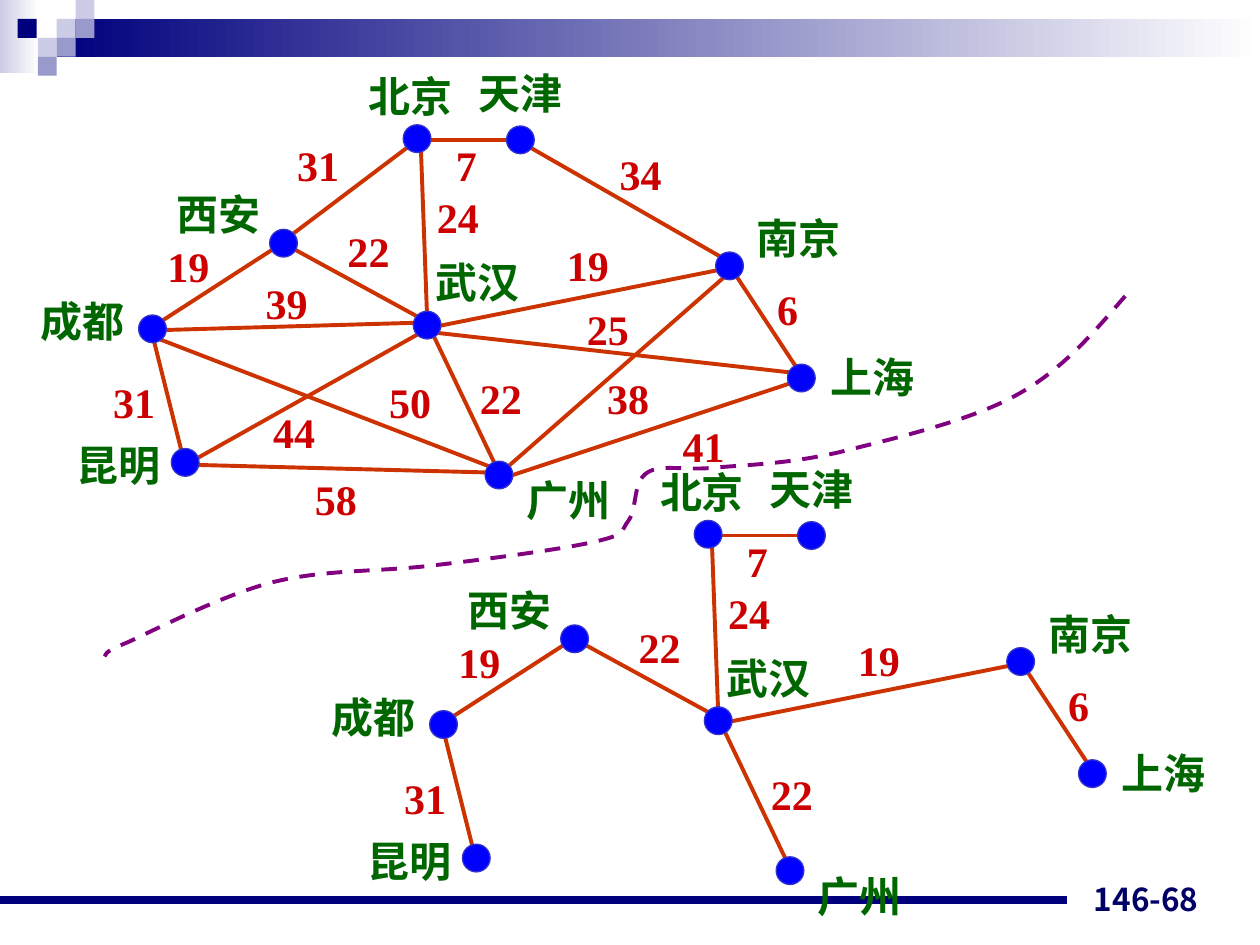
from pptx import Presentation
from pptx.dml.color import RGBColor
from pptx.enum.dml import MSO_LINE
from pptx.enum.shapes import MSO_CONNECTOR, MSO_SHAPE
from pptx.enum.text import MSO_ANCHOR, MSO_AUTO_SIZE, PP_ALIGN
from pptx.oxml.ns import qn
from pptx.util import Inches, Pt
from lxml.etree import SubElement

NAVY = RGBColor(0x00, 0x00, 0x7D)
LAVENDER = RGBColor(0xCC, 0xCC, 0xE6)
PERIWINKLE = RGBColor(0x99, 0x99, 0xCC)
WHITE = RGBColor(0xFF, 0xFF, 0xFF)
NUMBER_NAVY = RGBColor(0x00, 0x00, 0x66)
EDGE_ORANGE = RGBColor(0xCC, 0x33, 0x00)
NODE_BLUE = RGBColor(0x00, 0x00, 0xFF)
NODE_OUTLINE = RGBColor(0x33, 0x33, 0xCC)
CITY_GREEN = RGBColor(0x00, 0x66, 0x00)
WEIGHT_RED = RGBColor(0xCC, 0x00, 0x00)
PURPLE = RGBColor(0x80, 0x00, 0x80)

NODE_SIZE = 0.22
TREE_OFFSET = (2.31, 3.14)

# Name, top left of node, top left of label
CITIES = [
    ("武汉", (3.28, 2.47), (3.36, 1.99)),
    ("昆明", (1.36, 3.56), (0.51, 3.44)),
    ("南京", (5.68, 2.00), (5.91, 1.64)),
    ("北京", (3.20, 0.99), (2.83, 0.51)),
    ("上海", (6.25, 2.89), (6.49, 2.74)),
    ("成都", (1.10, 2.50), (0.22, 2.30)),
    ("西安", (2.14, 1.82), (1.30, 1.45)),
    ("广州", (3.85, 3.66), (4.08, 3.72)),
    ("天津", (4.02, 1.00), (3.70, 0.49)),
]

# Start, end, weight, top left of weight label
TREE_EDGES = [
    ((3.42, 2.62), (3.96, 3.75), "22", (3.71, 2.91)),
    ((1.28, 2.55), (2.21, 1.95), "19", (1.23, 1.86)),
    ((1.45, 3.62), (1.20, 2.62), "31", (0.80, 2.94)),
    ((3.34, 1.16), (3.39, 2.52), "24", (3.37, 1.47)),
    ((3.47, 2.59), (5.72, 2.14), "19", (4.40, 1.85)),
    ((5.83, 2.17), (6.33, 2.93), "6", (6.07, 2.20)),
    ((2.32, 1.97), (3.40, 2.56), "22", (2.66, 1.74)),
    ((3.41, 1.11), (4.02, 1.11), "7", (3.52, 1.06)),
]
OTHER_EDGES = [
    ((2.32, 1.86), (3.26, 1.15), "31", (2.26, 1.06)),
    ((1.56, 3.64), (3.34, 2.64), "44", (2.07, 3.18)),
    ((3.99, 3.74), (5.77, 2.18), "38", (4.72, 2.91)),
    ((4.04, 3.78), (6.34, 3.02), "41", (5.32, 3.29)),
    ((1.56, 3.69), (3.88, 3.75), "58", (2.40, 3.71)),
    ((1.29, 2.62), (3.36, 2.56), "39", (2.01, 2.15)),
    ((1.26, 2.69), (3.93, 3.72), "50", (2.99, 2.94)),
    ((3.45, 2.64), (6.31, 2.96), "25", (4.56, 2.36)),
    ((4.19, 1.16), (5.74, 2.05), "34", (4.82, 1.13)),
]

# Header squares: left, top, colour
HEADER_SQUARES = [
    (0.45, 0.15, LAVENDER), (0.6, 0, LAVENDER), (0.6, 0.15, PERIWINKLE),
    (0.3, 0.3, LAVENDER), (0.14, 0.15, NAVY), (0.45, 0.3, PERIWINKLE),
    (0.3, 0.45, PERIWINKLE),
]

# Bezier divider: first point, then two controls and an end per row
DIVIDER_START = (8.93, 2.35)
DIVIDER_POINTS = [
    (8.68, 2.64), (8.43, 2.94), (8.06, 3.14),
    (7.68, 3.35), (7.05, 3.49), (6.66, 3.59),
    (6.26, 3.68), (5.94, 3.69), (5.69, 3.71),
    (5.44, 3.74), (5.25, 3.68), (5.14, 3.75),
    (5.02, 3.82), (5.06, 4.03), (4.99, 4.13),
    (4.92, 4.22), (4.98, 4.24), (4.72, 4.30),
    (4.46, 4.36), (3.85, 4.44), (3.42, 4.49),
    (2.99, 4.54), (2.57, 4.52), (2.17, 4.62),
    (1.77, 4.72), (1.23, 5.00), (1.01, 5.10),
    (0.79, 5.19), (0.86, 5.19), (0.83, 5.21),
]


def add_block(shapes, kind, box, color, fade=False, outline=None):
    shape = shapes.add_shape(kind, *[Inches(value) for value in box])
    shape.shadow.inherit = False
    if fade:
        shape.fill.gradient()
        shape.fill.gradient_angle = 0
        stops = shape.fill.gradient_stops
        for stop, stop_color, position in zip(stops, (color, WHITE), (0, 1)):
            stop.color.rgb = stop_color
            stop.position = position
    else:
        shape.fill.solid()
        shape.fill.fore_color.rgb = color
    if outline is None:
        shape.line.fill.background()
    else:
        shape.line.color.rgb = outline
        shape.line.width = Pt(0.75)


def add_line(shapes, start, end, color, width):
    ends = [Inches(value) for value in (*start, *end)]
    connector = shapes.add_connector(MSO_CONNECTOR.STRAIGHT, *ends)
    connector.line.color.rgb = color
    connector.line.width = Pt(width)
    SubElement(connector._element.spPr, qn("a:effectLst"))


def add_text(shapes, text, box, color, size=24, font_name="Times New Roman",
             **frame_format):
    text_box = shapes.add_textbox(*[Inches(value) for value in box])
    frame = text_box.text_frame
    for name, value in frame_format.items():
        setattr(frame, name, value)
    paragraph = frame.paragraphs[0]
    run = paragraph.add_run()
    run.text = text
    font_format = {"name": font_name, "size": Pt(size), "bold": True}
    for name, value in font_format.items():
        setattr(run.font, name, value)
    run.font.color.rgb = color
    return paragraph


def add_label(shapes, text, position, width, color):
    add_text(shapes, text, (*position, width, 0.5), color,
             word_wrap=False, auto_size=MSO_AUTO_SIZE.SHAPE_TO_FIT_TEXT)


def add_network(slide, edges, offset=(0, 0)):
    shapes = slide.shapes.add_group_shape().shapes

    def place(point):
        return point[0] + offset[0], point[1] + offset[1]

    for start, end, _, _ in edges:
        add_line(shapes, place(start), place(end), EDGE_ORANGE, 2.25)
    for _, node, _ in CITIES:
        add_block(shapes, MSO_SHAPE.OVAL, (*place(node), NODE_SIZE, NODE_SIZE),
                  NODE_BLUE, outline=NODE_OUTLINE)
    for city, _, position in CITIES:
        add_label(shapes, city, place(position), 0.87, CITY_GREEN)
    for _, _, weight, position in edges:
        width = 0.53 if len(weight) == 2 else 0.37
        add_label(shapes, weight, place(position), width, WEIGHT_RED)


def add_header(slide):
    shapes = slide.shapes.add_group_shape().shapes
    add_block(shapes, MSO_SHAPE.RECTANGLE, (0, 0, 0.31, 0.58), LAVENDER, fade=True)
    add_block(shapes, MSO_SHAPE.RECTANGLE, (0.45, 0.15, 9.55, 0.3), NAVY, fade=True)
    for left, top, color in HEADER_SQUARES:
        add_block(shapes, MSO_SHAPE.RECTANGLE, (left, top, 0.15, 0.15), color)


def add_footer(slide):
    add_line(slide.shapes, (0, 7.14), (8.47, 7.14), NAVY, 4.5)
    paragraph = add_text(slide.shapes, "146-68", (7.28, 6.83, 2.33, 0.5),
                         NUMBER_NAVY, 18, "Noto Sans CJK JP",
                         word_wrap=True, vertical_anchor=MSO_ANCHOR.BOTTOM)
    paragraph.alignment = PP_ALIGN.RIGHT


def bend_segments(shape):
    """Turn each three straight segments into one cubic curve."""
    segments = list(shape._element.iter(qn("a:lnTo")))
    outline = segments[0].getparent()
    for index in range(0, len(segments), 3):
        curve = SubElement(outline, qn("a:cubicBezTo"))
        for segment in segments[index:index + 3]:
            curve.append(segment[0])
            outline.remove(segment)


def add_divider(slide):
    builder = slide.shapes.build_freeform(*[Inches(value) for value in DIVIDER_START])
    points = [(Inches(x), Inches(y)) for x, y in DIVIDER_POINTS]
    builder.add_line_segments(points, close=False)
    shape = builder.convert_to_shape()
    bend_segments(shape)
    shape.shadow.inherit = False
    shape.fill.background()
    shape.line.color.rgb = PURPLE
    shape.line.width = Pt(2.25)
    shape.line.dash_style = MSO_LINE.DASH


def main():
    presentation = Presentation()
    presentation.slide_width = Inches(10)
    presentation.slide_height = Inches(7.5)
    slide = presentation.slides.add_slide(presentation.slide_layouts[6])
    add_header(slide)
    add_footer(slide)
    # Minimum spanning tree, then the full network
    add_network(slide, TREE_EDGES, TREE_OFFSET)
    add_network(slide, TREE_EDGES + OTHER_EDGES)
    add_divider(slide)
    presentation.save("out.pptx")


if __name__ == "__main__":
    main()
